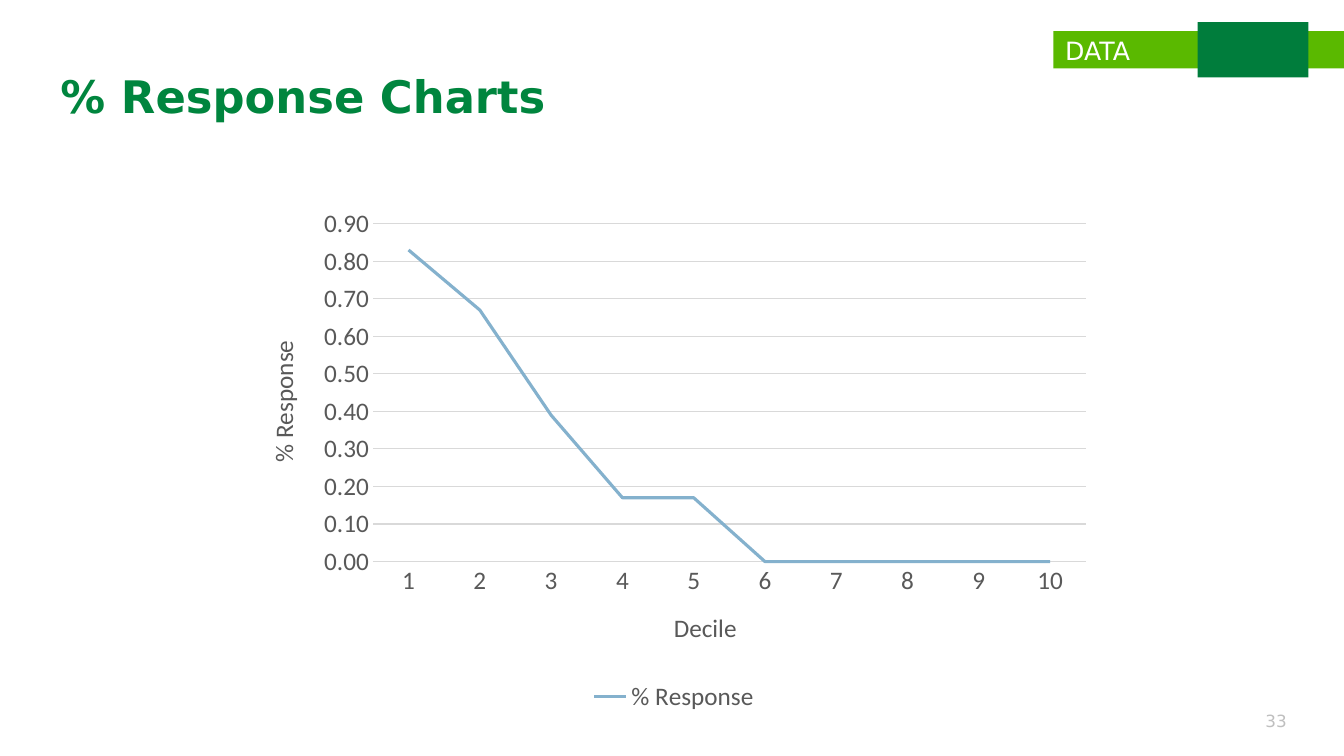
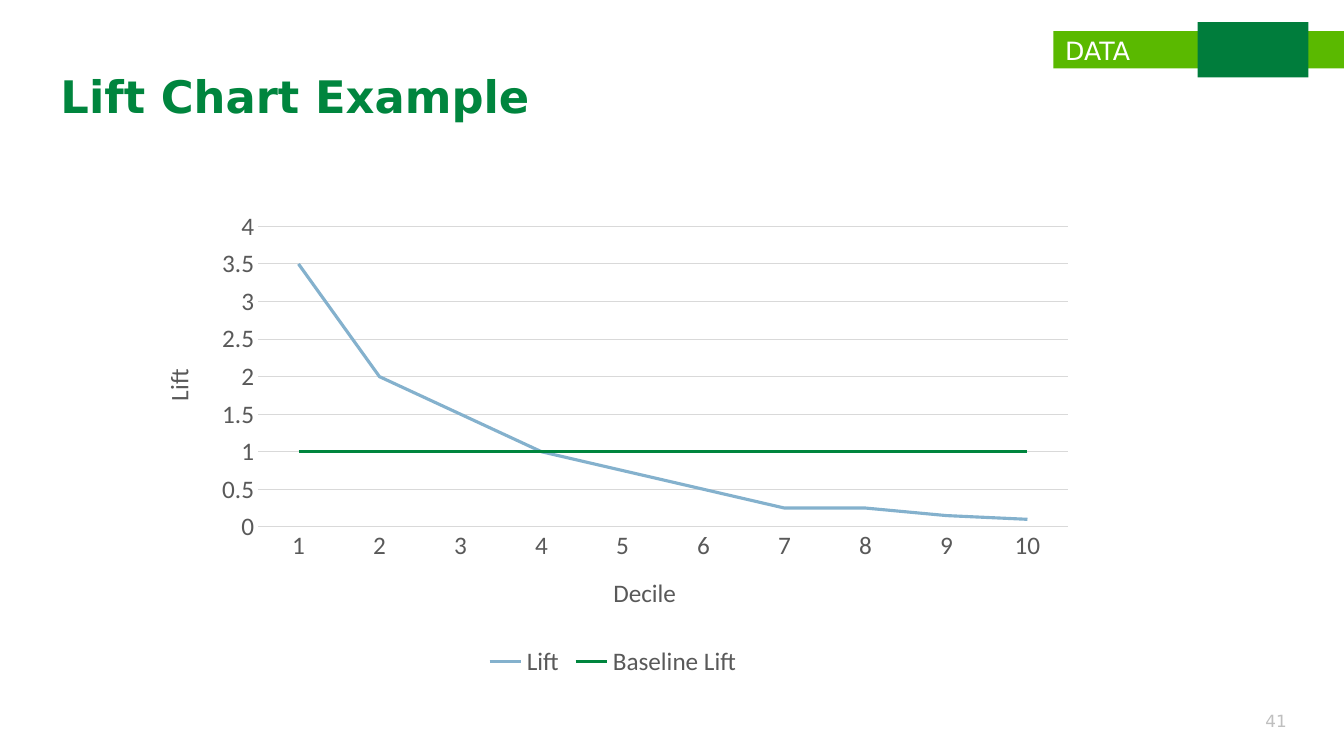
"""Build two decile line-chart slides with a shared band, title and page number."""
from dataclasses import dataclass
from typing import Optional

from pptx import Presentation
from pptx.chart.data import CategoryChartData
from pptx.dml.color import RGBColor
from pptx.enum.chart import XL_CHART_TYPE as ChartType, XL_LEGEND_POSITION as LegendPosition
from pptx.enum.chart import XL_MARKER_STYLE as MarkerStyle, XL_TICK_MARK as TickMark
from pptx.enum.shapes import MSO_SHAPE as ShapeKind
from pptx.enum.text import MSO_ANCHOR as Anchor, MSO_AUTO_SIZE as AutoSize, PP_ALIGN as Align
from pptx.oxml import parse_xml
from pptx.oxml.ns import nsdecls, qn
from pptx.util import Inches, Pt

WIDTH, HEIGHT = Inches(13.33), Inches(7.5)
COLUMN, ROW = WIDTH / 100, HEIGHT / 100
TITLE_GREEN, BAND_GREEN, BLOCK_GREEN = "00853E", "5AB900", "007D3C"
LINE_BLUE, WHITE, PAGE_GREY = "84B1CD", "FFFFFF", "BFBFBF"
CHART_TEXT, GRID_GREY = "595959", "D9D9D9"
TEXT_FONT, CHART_FONT = "DejaVu Sans", "Calibri"


@dataclass(frozen=True)
class Box:
    """A place on the grid of 100 columns by 100 rows."""
    left: float
    top: float
    width: float = 0
    height: float = 0

    def lengths(self) -> tuple[int, int, int, int]:
        """Return the box in slide units."""
        return (round(self.left * COLUMN), round(self.top * ROW),
                round(self.width * COLUMN), round(self.height * ROW))


@dataclass(frozen=True)
class Series:
    """One line of a chart."""
    name: str
    values: tuple[float, ...]
    color: str


@dataclass(frozen=True)
class ChartSlide:
    """The content of one slide."""
    title: str
    page: str
    frame: Box
    plot: Box
    category_title: Box
    value_title: Box
    maximum: float
    step: float
    number_format: str
    series: tuple[Series, ...]


BAND = Box(78.38, 4.13, 21.62, 4.93)
BAND_LABEL = Box(78.52, 4, 10.28, 5.33)
BLOCK = Box(89.1, 2.93, 8.25, 7.33)
TITLE = Box(3.75, 5.33, 85.5, 15.47)
PAGE = Box(93, 92.67, 3.9, 5.33)

SLIDES = (
    ChartSlide("% Response Charts", "33", Box(18.15, 26.27, 63.98, 68.53),
               Box(27.75, 29.6, 53.05, 44.7), Box(49.8, 80.15), Box(19.45, 44.45),
               0.9, 0.1, "#,##0.00",
               (Series("% Response", (0.83, 0.67, 0.39, 0.17, 0.17, 0, 0, 0, 0, 0), LINE_BLUE),)),
    ChartSlide("Lift Chart Example", "41", Box(10.35, 26.67, 70.5, 63.47),
               Box(19.2, 29.95, 60.27, 39.75), Box(45.3, 75.55), Box(11.65, 48.25),
               4, 0.5, "General",
               (Series("Lift", (3.5, 2, 1.5, 1, 0.75, 0.5, 0.25, 0.25, 0.15, 0.1), LINE_BLUE),
                Series("Baseline Lift", (1,) * 10, TITLE_GREEN))),
)


def rgb(color: str) -> RGBColor:
    """Turn a hex string into a colour."""
    return RGBColor.from_string(color)


def style_font(font, name: str, size: float, color: str, bold: bool = False) -> None:
    """Set face, size, colour and weight."""
    font.name, font.size, font.bold = name, Pt(size), bold
    font.color.rgb = rgb(color)


def style_line(line, color: str, width: float) -> None:
    """Set the colour and width of a line."""
    line.color.rgb = rgb(color)
    line.width = Pt(width)


def add_rectangle(slide, box: Box, color: str) -> None:
    """Draw a plain filled rectangle."""
    shape = slide.shapes.add_shape(ShapeKind.RECTANGLE, *box.lengths())
    shape.shadow.inherit = False
    shape.fill.solid()
    shape.fill.fore_color.rgb = rgb(color)
    shape.line.fill.background()


def add_label(slide, box: Box, text: str, size: float, color: str,
              align: Align = Align.LEFT, anchor: Anchor = Anchor.TOP) -> None:
    """Write one line of text."""
    frame = slide.shapes.add_textbox(*box.lengths()).text_frame
    frame.word_wrap = True
    frame.vertical_anchor = anchor
    paragraph = frame.paragraphs[0]
    paragraph.text, paragraph.alignment = text, align
    style_font(paragraph.font, TEXT_FONT, size, color)


def format_title(slide, text: str) -> None:
    """Fill and place the title placeholder."""
    shape = slide.shapes.title
    shape.left, shape.top, shape.width, shape.height = TITLE.lengths()
    frame = shape.text_frame
    frame.word_wrap, frame.auto_size = True, AutoSize.NONE
    frame.vertical_anchor = Anchor.MIDDLE
    paragraph = frame.paragraphs[0]
    paragraph.text, paragraph.alignment, paragraph.line_spacing = text, Align.LEFT, 0.9
    style_font(paragraph.font, TEXT_FONT, 32, TITLE_GREEN, bold=True)


def place_part(parent, index: int, box: Box, frame: Box) -> None:
    """Place a chart part given on the slide grid inside its chart frame."""
    for old in parent.findall(qn("c:layout")):
        parent.remove(old)
    shares = {"x": (box.left - frame.left) / frame.width,
              "y": (box.top - frame.top) / frame.height}
    target = ""
    if box.width:
        shares |= {"w": box.width / frame.width, "h": box.height / frame.height}
        target = '<c:layoutTarget val="inner"/>'
    values = "".join(f'<c:{key} val="{share:.4f}"/>' for key, share in shares.items())
    parent.insert(index, parse_xml(
        f'<c:layout {nsdecls("c")}><c:manualLayout>{target}<c:xMode val="edge"/>'
        f'<c:yMode val="edge"/>{values}</c:manualLayout></c:layout>'))


def format_axis(axis, title: str, place: Box, frame: Box, rotation: Optional[int] = None) -> None:
    """Style an axis and write its title."""
    axis.major_tick_mark = axis.minor_tick_mark = TickMark.NONE
    style_font(axis.tick_labels.font, CHART_FONT, 18, CHART_TEXT)
    paragraph = axis.axis_title.text_frame.paragraphs[0]
    paragraph.text = title
    style_font(paragraph.font, CHART_FONT, 18, CHART_TEXT)
    element = axis.axis_title.element
    if rotation is not None:
        element.find(".//" + qn("a:bodyPr")).set("rot", str(rotation * 60000))
    place_part(element, 1, place, frame)


def add_line_chart(slide, content: ChartSlide) -> None:
    """Draw the line chart of a slide."""
    data = CategoryChartData(number_format=content.number_format)
    data.categories = [str(decile) for decile in range(1, 11)]
    for series in content.series:
        data.add_series(series.name, series.values)
    chart = slide.shapes.add_chart(ChartType.LINE, *content.frame.lengths(), data).chart
    style_font(chart.font, CHART_FONT, 18, CHART_TEXT)
    chart.has_title = False
    chart.has_legend = True
    chart.legend.position = LegendPosition.BOTTOM
    chart.legend.include_in_layout = False
    style_font(chart.legend.font, CHART_FONT, 18, CHART_TEXT)

    plot = chart.plots[0]
    plot.vary_by_categories = False
    for line, series in zip(plot.series, content.series):
        line.smooth = False
        line.marker.style = MarkerStyle.NONE
        style_line(line.format.line, series.color, 2.25)

    category_axis, value_axis = chart.category_axis, chart.value_axis
    format_axis(category_axis, "Decile", content.category_title, content.frame)
    style_line(category_axis.format.line, GRID_GREY, 0.75)
    format_axis(value_axis, content.series[0].name, content.value_title, content.frame, -90)
    value_axis.format.line.fill.background()
    value_axis.minimum_scale, value_axis.maximum_scale = 0, content.maximum
    value_axis.major_unit = content.step
    value_axis.has_major_gridlines = True
    style_line(value_axis.major_gridlines.format.line, GRID_GREY, 0.75)
    value_axis.tick_labels.number_format = content.number_format
    value_axis.tick_labels.number_format_is_linked = False
    place_part(chart.element.find(".//" + qn("c:plotArea")), 0, content.plot, content.frame)


def add_slide(presentation, content: ChartSlide) -> None:
    """Add one slide with band, title, chart and page number."""
    slide = presentation.slides.add_slide(presentation.slide_layouts.get_by_name("Title Only"))
    add_rectangle(slide, BAND, BAND_GREEN)
    add_label(slide, BAND_LABEL, "DATA", 18, WHITE)
    add_rectangle(slide, BLOCK, BLOCK_GREEN)
    format_title(slide, content.title)
    add_line_chart(slide, content)
    add_label(slide, PAGE, content.page, 12, PAGE_GREY, Align.CENTER, Anchor.MIDDLE)


def main() -> None:
    """Build and save the presentation."""
    presentation = Presentation()
    presentation.slide_width, presentation.slide_height = WIDTH, HEIGHT
    for content in SLIDES:
        add_slide(presentation, content)
    presentation.save("out.pptx")


if __name__ == "__main__":
    main()
